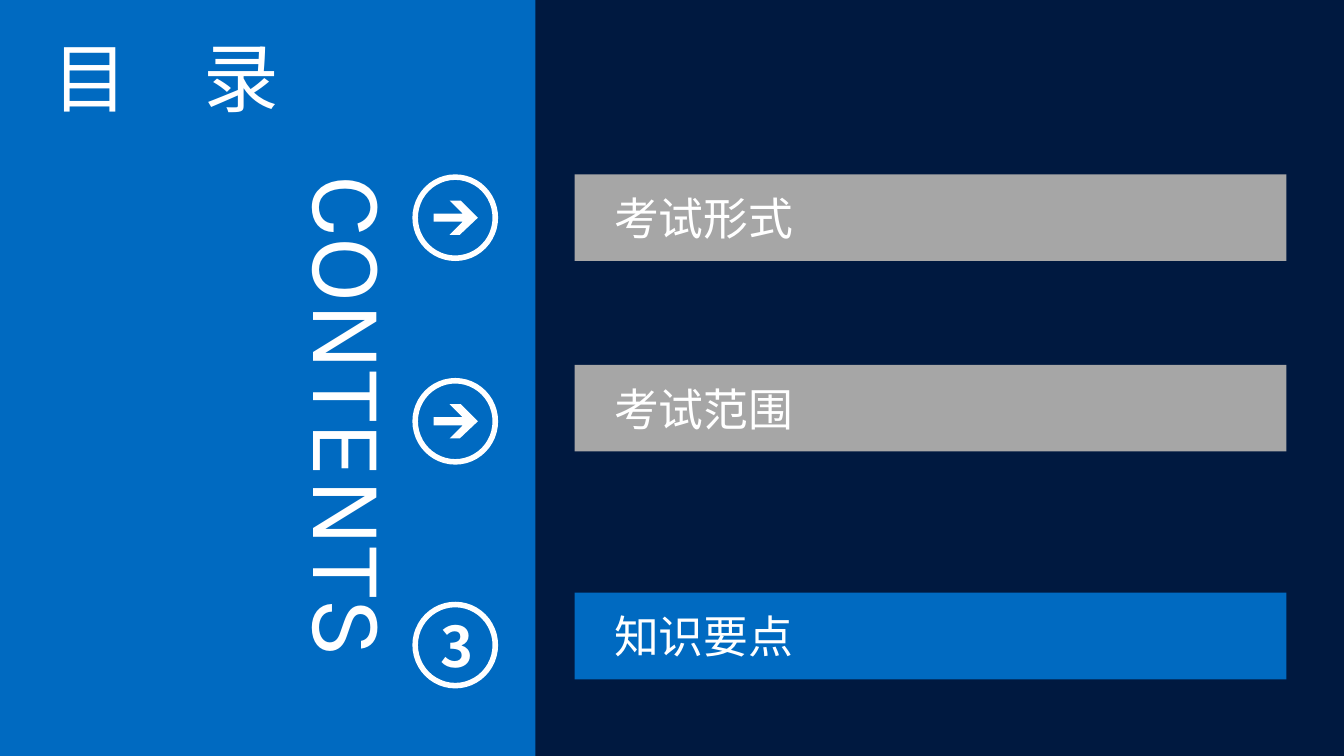
from dataclasses import dataclass

from lxml import etree
from pptx import Presentation
from pptx.dml.color import RGBColor
from pptx.enum.shapes import MSO_SHAPE
from pptx.enum.text import MSO_ANCHOR, MSO_AUTO_SIZE, PP_ALIGN
from pptx.oxml.ns import qn
from pptx.util import Inches, Pt

RECT, OVAL, DONUT = MSO_SHAPE.RECTANGLE, MSO_SHAPE.OVAL, MSO_SHAPE.DONUT
LEFT, CENTER, JUSTIFY = PP_ALIGN.LEFT, PP_ALIGN.CENTER, PP_ALIGN.JUSTIFY
MIDDLE = MSO_ANCHOR.MIDDLE
NO_FIT, GROW = MSO_AUTO_SIZE.NONE, MSO_AUTO_SIZE.SHAPE_TO_FIT_TEXT
TITLE_ONLY = 5


@dataclass(frozen=True)
class Theme:
    """Colours, fonts and type sizes of the slide."""
    navy: str = "001940"
    blue: str = "006AC1"
    grey: str = "A6A6A6"
    white: str = "FFFFFF"
    cjk: str = "Noto Sans CJK SC"
    latin: str = "Karla"
    title: int = 54
    vertical: int = 72
    topic: int = 32
    number: int = 40


THEME = Theme()
TOPICS = [
    ("考试形式", 1.73, 1.73, None),
    ("考试范围", 3.62, 3.75, None),
    ("知识要点", 5.88, 5.97, "3"),
]
RING_LEFT, RING_WIDTH, BAR_HEIGHT = 4.09, 0.85, 0.86
ARROW = [(0.5, 0.47), (0.37, 0.6), (0.47, 0.6), (0.65, 0.43), (0.48, 0.26),
         (0.37, 0.26), (0.5, 0.39), (0.21, 0.39), (0.21, 0.47)]


def paint(sp, color):
    """Give a shape a flat fill with no line or shadow."""
    sp.shadow.inherit = False
    sp.fill.solid()
    sp.fill.fore_color.rgb = RGBColor.from_string(color)
    sp.line.fill.background()


def add_block(slide, kind, box, color):
    """Add a flat preset shape."""
    sp = slide.shapes.add_shape(kind, *map(Inches, box))
    paint(sp, color)
    return sp


def write(sp, text, size, align, font=THEME.cjk, bold=False):
    """Write one white paragraph into a shape."""
    tf = sp.text_frame
    tf.word_wrap = True
    p = tf.paragraphs[0]
    p.text = text
    p.alignment = align
    p.font.size = Pt(size)
    p.font.bold = bold
    p.font.color.rgb = RGBColor.from_string(THEME.white)
    p.font.name = font
    props = p.font._element if hasattr(p.font, "_element") else p._p.pPr.find(qn("a:defRPr"))
    etree.SubElement(props, qn("a:ea")).set("typeface", font)
    return tf


def add_title(slide, text):
    """Place and format the title."""
    sp = slide.shapes.title
    sp.left, sp.top, sp.width, sp.height = map(Inches, (0.42, 0.12, 6.18, 1.39))
    tf = write(sp, text, THEME.title, LEFT)
    tf.vertical_anchor = MIDDLE
    tf.auto_size = NO_FIT
    tf.paragraphs[0].line_spacing = 0.9


def add_vertical_label(slide, text):
    """Add the label that runs down the panel."""
    sp = slide.shapes.add_textbox(*map(Inches, (2.75, 1.64, 1.41, 5.25)))
    tf = write(sp, text, THEME.vertical, JUSTIFY, THEME.latin)
    tf.auto_size = GROW
    tf._txBody.bodyPr.set("vert", "eaVert")


def add_arrow(slide, top):
    """Draw the arrow inside a ring."""
    points = [(Inches(RING_LEFT + x), Inches(top + y)) for x, y in ARROW]
    builder = slide.shapes.build_freeform(*points[0])
    builder.add_line_segments(points[1:])
    paint(builder.convert_to_shape(), THEME.white)


def add_marker(slide, top, number):
    """Add a ring holding a number, or an arrow if there is none."""
    ring = add_block(slide, DONUT, (RING_LEFT, top, RING_WIDTH, BAR_HEIGHT), THEME.white)
    ring.adjustments[0] = 0.065
    if number is None:
        add_arrow(slide, top)
        return
    disc = add_block(slide, OVAL, (4.18, top + 0.12, 0.64, 0.62), THEME.blue)
    write(disc, number, THEME.number, CENTER, bold=True).vertical_anchor = MIDDLE


def add_topic(slide, text, top, color):
    """Add a topic bar."""
    sp = add_block(slide, RECT, (5.7, top, 7.06, BAR_HEIGHT), color)
    tf = write(sp, text, THEME.topic, LEFT)
    tf.vertical_anchor = MIDDLE
    tf.margin_left = Inches(0.39)
    tf.margin_top = tf.margin_bottom = Inches(0.16)


def main():
    """Build the contents slide."""
    prs = Presentation()
    prs.slide_width, prs.slide_height = Inches(13.33), Inches(7.5)
    slide = prs.slides.add_slide(prs.slide_layouts[TITLE_ONLY])
    slide.background.fill.solid()
    slide.background.fill.fore_color.rgb = RGBColor.from_string(THEME.navy)
    panel = add_block(slide, RECT, (0, 0, 5.31, 7.5), THEME.blue)
    slide.shapes.title._element.addprevious(panel._element)
    add_title(slide, "目　录")
    add_vertical_label(slide, "CONTENTS")
    for text, bar_top, ring_top, number in TOPICS:
        add_marker(slide, ring_top, number)
        add_topic(slide, text, bar_top, THEME.blue if number else THEME.grey)
    prs.save("out.pptx")


if __name__ == "__main__":
    main()
